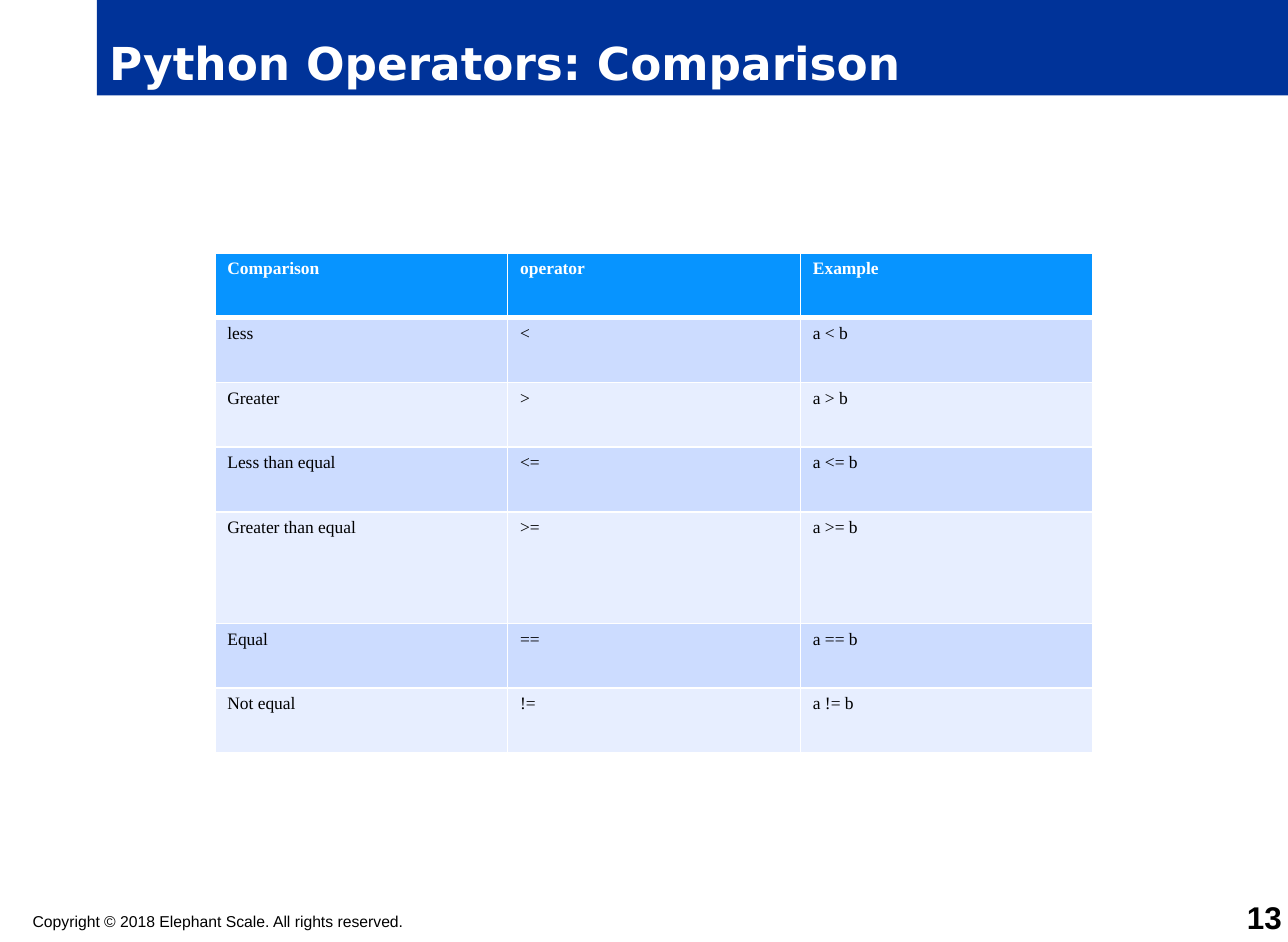
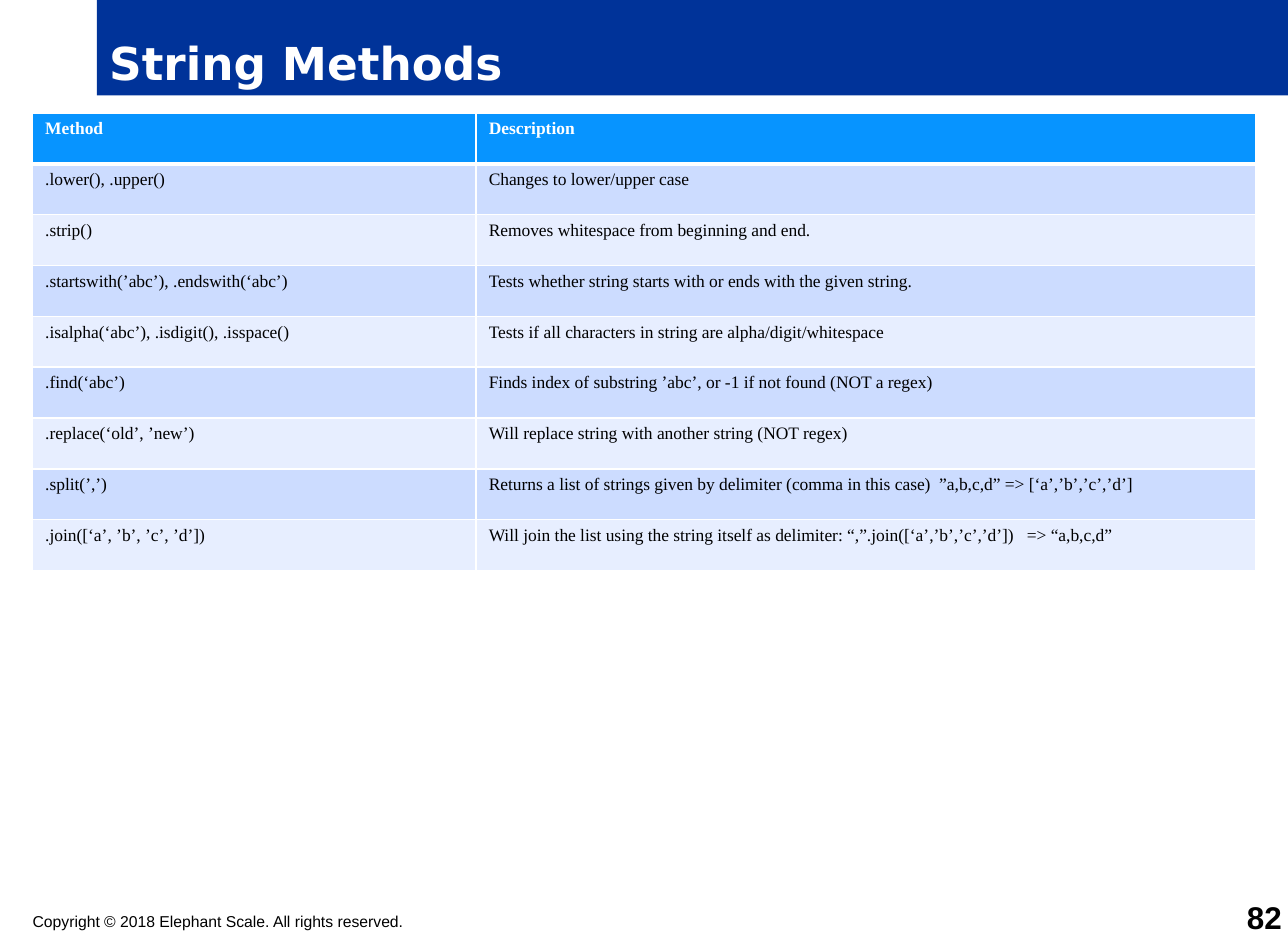
"""Build two slides of Python reference tables."""
import pptx
import pptx.dml.color
import pptx.enum.shapes
import pptx.enum.text
import pptx.oxml.ns
import pptx.util
from lxml import etree

COLORS = {
    "title_band": "003399",
    "header": "0794FF",
    "odd_row": "CCDCFF",
    "even_row": "E7EEFF",
    "white": "FFFFFF",
    "black": "000000",
}
WIDTH = pptx.util.Inches(10.25)
HEIGHT = pptx.util.Inches(7.5)
GRID_COLUMNS, GRID_ROWS = 41, 30

COMPARISONS = [
    ("Comparison", "operator", "Example"),
    ("less", "<", "a < b"),
    ("Greater", ">", "a > b"),
    ("Less than equal", "<=", "a <= b"),
    ("Greater than equal", ">=", "a >= b"),
    ("Equal", "==", "a == b"),
    ("Not equal", "!=", "a != b"),
]
METHODS = [
    ("Method", "Description"),
    (".lower(), .upper()", "Changes to lower/upper case"),
    (".strip()", "Removes whitespace from beginning and end."),
    (".startswith(’abc’), .endswith(‘abc’)",
     "Tests whether string starts with or ends with the given string."),
    (".isalpha(‘abc’), .isdigit(), .isspace()",
     "Tests if all characters in string are alpha/digit/whitespace"),
    (".find(‘abc’)",
     "Finds index of substring ’abc’, or -1 if not found (NOT a regex)"),
    (".replace(‘old’, ’new’)",
     "Will replace string with another string (NOT regex)"),
    (".split(’,’)",
     "Returns a list of strings given by delimiter (comma in this case)  "
     "”a,b,c,d” => [‘a’,’b’,’c’,’d’]"),
    (".join([‘a’, ’b’, ’c’, ’d’])",
     "Will join the list using the string itself as delimiter: "
     "“,”.join([‘a’,’b’,’c’,’d’])   => “a,b,c,d”"),
]


def across(columns):
    return pptx.util.Emu(round(WIDTH * columns / GRID_COLUMNS))


def down(rows):
    return pptx.util.Emu(round(HEIGHT * rows / GRID_ROWS))


def place(left, top, width, height):
    return across(left), down(top), across(width), down(height)


def color(name):
    return pptx.dml.color.RGBColor.from_string(COLORS[name])


def write(frame, text, font, size, ink="black", bold=False, align="LEFT"):
    paragraph = frame.paragraphs[0]
    paragraph.alignment = getattr(pptx.enum.text.PP_ALIGN, align)
    run = paragraph.add_run()
    run.text = text
    run.font.name = font
    run.font.size = pptx.util.Pt(size)
    run.font.bold = bold
    run.font.color.rgb = color(ink)


def add_title(slide, text):
    band = slide.shapes.add_shape(
        pptx.enum.shapes.MSO_SHAPE.RECTANGLE, *place(3.08, 0, 37.92, 3.04))
    band.shadow.inherit = False
    band.fill.solid()
    band.fill.fore_color.rgb = color("title_band")
    band.line.fill.background()
    band.text_frame.word_wrap = True
    band.text_frame.vertical_anchor = pptx.enum.text.MSO_ANCHOR.BOTTOM
    write(band.text_frame, text, "DejaVu Sans", 26, ink="white", bold=True)


def add_label(slide, text, area, size, anchor="TOP", **text_format):
    frame = slide.shapes.add_textbox(*place(*area)).text_frame
    frame.word_wrap = True
    frame.vertical_anchor = getattr(pptx.enum.text.MSO_ANCHOR, anchor)
    frame.margin_left = frame.margin_right = 0
    frame.margin_top = frame.margin_bottom = 0
    write(frame, text, "Arial", size, **text_format)


def add_borders(cell, top, bottom):
    properties = cell._tc.get_or_add_tcPr()
    name = pptx.oxml.ns.qn
    for side, points in (("L", 1), ("R", 1), ("T", top), ("B", bottom)):
        line = etree.SubElement(properties, name(f"a:ln{side}"),
                                w=str(pptx.util.Pt(points)))
        fill = etree.SubElement(line, name("a:solidFill"))
        etree.SubElement(fill, name("a:srgbClr"), val=COLORS["white"])


def add_table(slide, records, left, top, column_widths, row_heights):
    area = place(left, top, sum(column_widths), sum(row_heights))
    table = slide.shapes.add_table(
        len(records), len(column_widths), *area).table
    table.first_row = table.horz_banding = False
    for column, width in zip(table.columns, column_widths):
        column.width = across(width)
    for row, height in zip(table.rows, row_heights):
        row.height = down(height)
    for index, record in enumerate(records):
        header = index == 0
        fill = "header" if header else ("even_row", "odd_row")[index % 2]
        for cell, text in zip(table.rows[index].cells, record):
            add_borders(cell, top=3 if index == 1 else 1,
                        bottom=3 if header else 1)
            cell.fill.solid()
            cell.fill.fore_color.rgb = color(fill)
            write(cell.text_frame, text, "Times New Roman", 10,
                  ink="white" if header else "black", bold=header)


def add_page(presentation, title, number):
    slide = presentation.slides.add_slide(presentation.slide_layouts[6])
    add_title(slide, title)
    add_label(slide, "Copyright © 2018 Elephant Scale. All rights reserved.",
              (1.04, 29.04, 23.8, 0.6), 9)
    add_label(slide, str(number), (38.4, 28.8, 2.4, 1), 18,
              anchor="BOTTOM", bold=True, align="RIGHT")
    return slide


def main():
    presentation = pptx.Presentation()
    presentation.slide_width, presentation.slide_height = WIDTH, HEIGHT

    slide = add_page(presentation, "Python Operators: Comparison", 13)
    heights = [3.56 if record[1] == ">=" else 2.06 for record in COMPARISONS]
    add_table(slide, COMPARISONS, 6.84, 8.06, [9.32] * 3, heights)

    slide = add_page(presentation, "String Methods", 82)
    add_table(slide, METHODS, 1.04, 3.6, [14.12, 24.8],
              [1.62] * len(METHODS))

    presentation.save("out.pptx")


if __name__ == "__main__":
    main()
